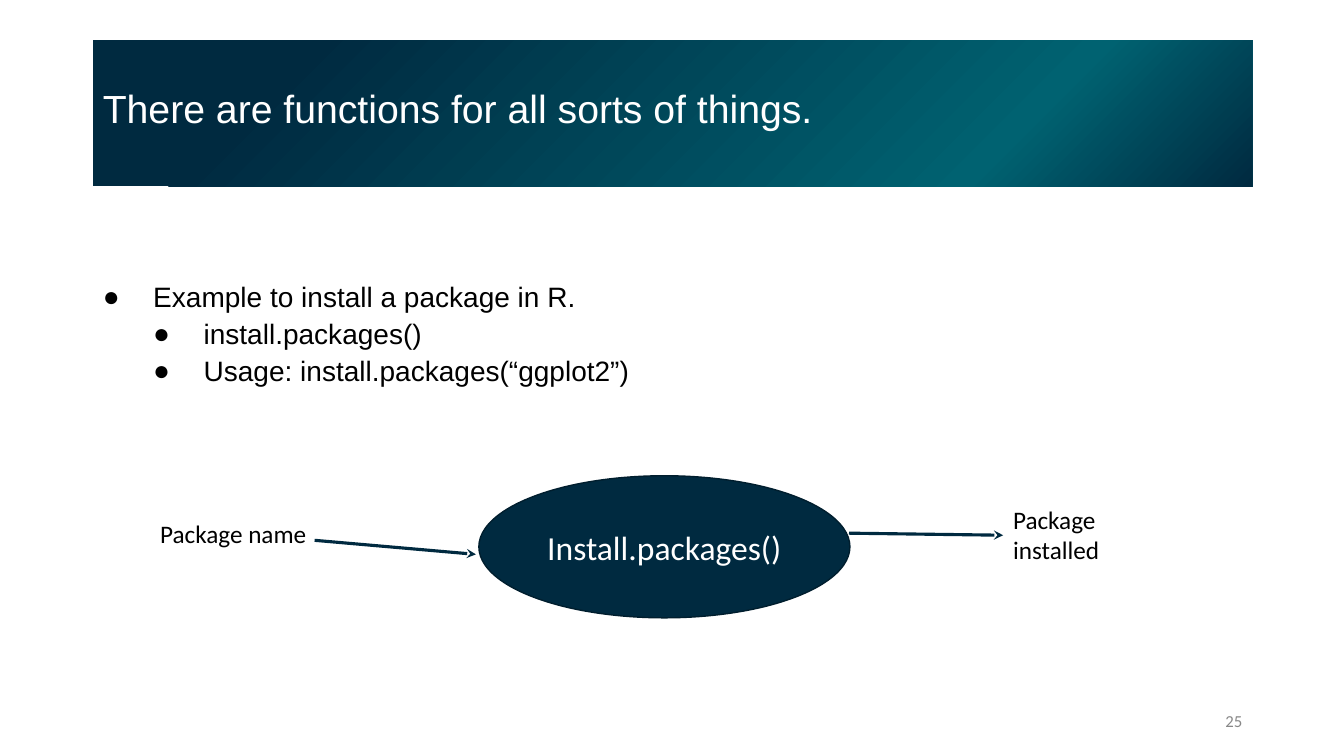
from pptx import Presentation
from pptx.dml.color import RGBColor
from pptx.enum.shapes import MSO_CONNECTOR as LINE, MSO_SHAPE as SHAPE
from pptx.enum.text import MSO_ANCHOR as ANCHOR, MSO_AUTO_SIZE as FIT, PP_ALIGN as ALIGN
from pptx.oxml import parse_xml
from pptx.oxml.ns import nsdecls
from pptx.util import Inches, Pt

NAVY = RGBColor(0x00, 0x2A, 0x40)
TEAL = RGBColor(0x00, 0x62, 0x71)
RIM = RGBColor(0x00, 0x1E, 0x2E)
WHITE = RGBColor(0xFF, 0xFF, 0xFF)
BLACK = RGBColor(0x00, 0x00, 0x00)
GREY = RGBColor(0x88, 0x88, 0x88)

deck = Presentation()
deck.slide_width, deck.slide_height = Inches(13.33), Inches(7.5)
slide = deck.slides.add_slide(deck.slide_layouts[1])


def share(*percents):
    """Turn alternating x, y percentages of the slide into lengths."""
    sides = (deck.slide_width, deck.slide_height)
    return [int(sides[i % 2] * p / 100) for i, p in enumerate(percents)]


def write(paragraph, text, size, face, color, align=ALIGN.LEFT):
    run = paragraph.add_run()
    run.text = text
    paragraph.alignment = align
    run.font.size, run.font.name = Pt(size), face
    run.font.color.rgb = color


# Title and list placeholders
title, examples = slide.shapes.title, slide.placeholders[1]
placements = [
    (title, share(6.9, 5.33, 86.27, 19.33), ANCHOR.MIDDLE, (0.1, 0, 0.1, 0.05)),
    (examples, share(6.9, 34.8, 88.22, 28.4), ANCHOR.TOP, (0.1, 0.2, 0, 0.05)),
]
for holder, box, anchor, insets in placements:
    for side, length in zip(("left", "top", "width", "height"), box):
        setattr(holder, side, length)
    frame = holder.text_frame
    frame.word_wrap, frame.auto_size, frame.vertical_anchor = True, FIT.NONE, anchor
    for side, inset in zip(("left", "top", "right", "bottom"), insets):
        setattr(frame, f"margin_{side}", Inches(inset))

# Title band: radial gradient from the bottom right corner
stops = "".join(
    f'<a:gs pos="{place * 1000}"><a:srgbClr val="{color}"/></a:gs>'
    for place, color in ((0, NAVY), (22, TEAL), (83, NAVY), (100, NAVY)))
title._element.spPr.append(parse_xml(
    f'<a:gradFill {nsdecls("a")} rotWithShape="1"><a:gsLst>{stops}</a:gsLst>'
    '<a:path path="circle"><a:fillToRect l="100000" t="100000"/></a:path></a:gradFill>'))
heading = title.text_frame.paragraphs[0]
heading.line_spacing = 0.9
write(heading, "There are functions for all sorts of things.", 28, "Arial", WHITE)

# Bulleted example
lines = [(0, "Example to install a package in R."),
         (1, "install.packages()"),
         (1, "Usage: install.packages(“ggplot2”)")]
for number, (level, text) in enumerate(lines):
    frame = examples.text_frame
    item = frame.add_paragraph() if number else frame.paragraphs[0]
    item.level, item.line_spacing, item.space_before = level, 0.9, Pt(5 * level)
    props = item._p.get_or_add_pPr()
    props.set("marL", str(Inches(0.5 * (level + 1))))
    props.set("indent", str(Inches(-0.5)))
    for bullet in (f'<a:buClr {nsdecls("a")}><a:srgbClr val="{BLACK}"/></a:buClr>',
                   f'<a:buFont {nsdecls("a")} typeface="Arial"/>',
                   f'<a:buChar {nsdecls("a")} char="●"/>'):
        props.append(parse_xml(bullet))
    write(item, text, 20, "Arial", BLACK)

# Function ellipse
function = slide.shapes.add_shape(SHAPE.OVAL, *share(35.63, 62.93, 27.61, 18.8))
function.shadow.inherit = False
function.fill.solid()
function.fill.fore_color.rgb = NAVY
function.line.color.rgb, function.line.width = RIM, Pt(1)
function.text_frame.vertical_anchor = ANCHOR.MIDDLE
write(function.text_frame.paragraphs[0], "Install.packages()", 24, "Calibri",
      WHITE, ALIGN.CENTER)

# Input and output labels, page number
labels = [
    ("Package name", (11.18, 67.87, 12.45, 5.33), 18, BLACK, ALIGN.LEFT, ANCHOR.TOP),
    ("Package installed", (74.64, 66, 12.83, 9.47), 18, BLACK, ALIGN.LEFT, ANCHOR.TOP),
    ("25", (70.67, 92.67, 22.51, 5.33), 12, GREY, ALIGN.RIGHT, ANCHOR.MIDDLE),
]
for text, box, size, color, align, anchor in labels:
    frame = slide.shapes.add_textbox(*share(*box)).text_frame
    frame.word_wrap, frame.vertical_anchor = True, anchor
    write(frame.paragraphs[0], text, size, "Calibri", color, align)

# Arrows into and out of the function
for ends in ((23.41, 71.47, 35.41, 73.33), (63.17, 70.53, 74.64, 70.8)):
    arrow = slide.shapes.add_connector(LINE.STRAIGHT, *share(*ends))
    arrow.line.color.rgb, arrow.line.width = NAVY, Pt(2.25)
    arrow.line._get_or_add_ln().append(
        parse_xml(f'<a:tailEnd {nsdecls("a")} type="stealth"/>'))
    arrow._element.spPr.append(parse_xml(f'<a:effectLst {nsdecls("a")}/>'))

deck.save("out.pptx")
